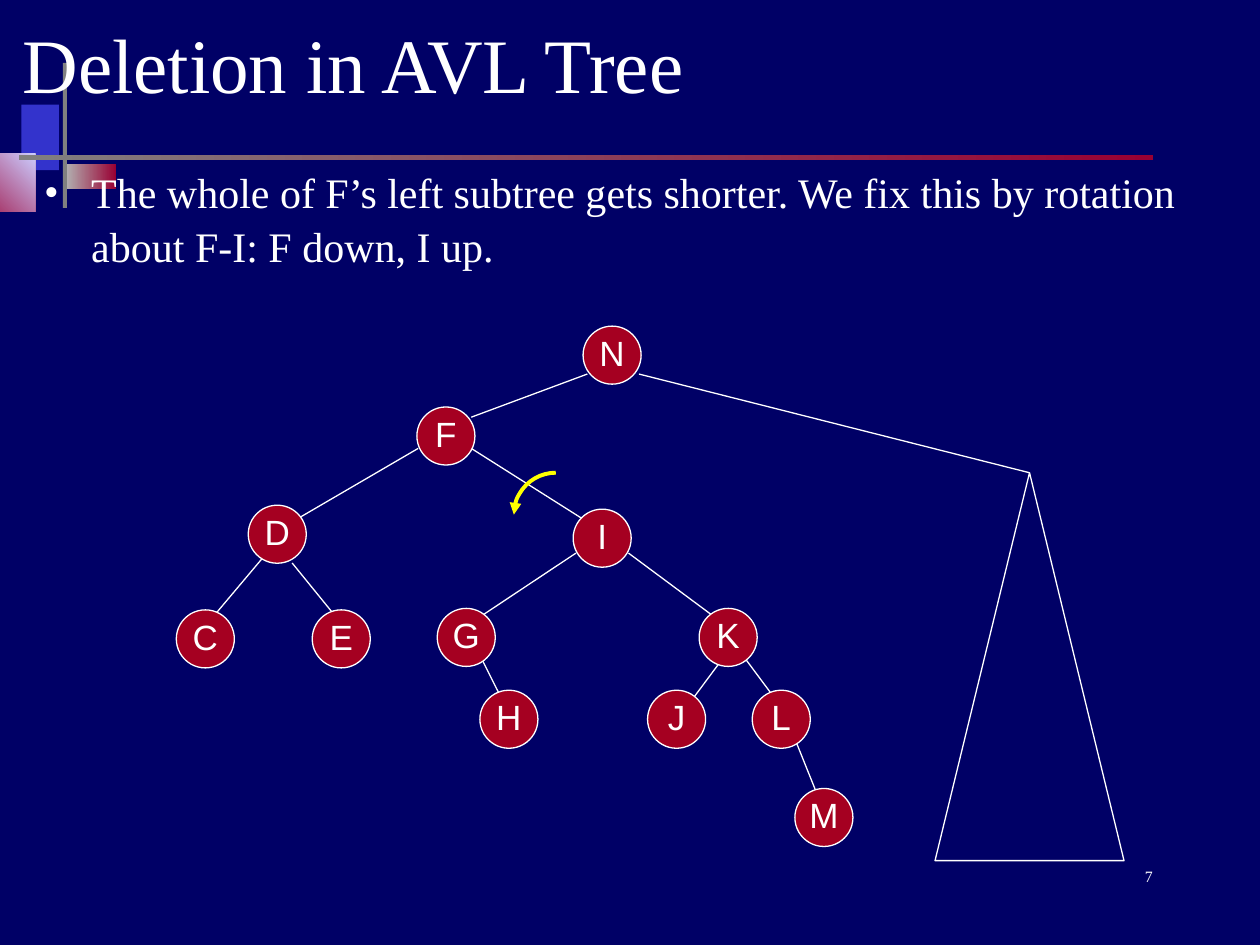
from dataclasses import dataclass

from lxml.etree import SubElement
from pptx import Presentation
from pptx.dml.color import RGBColor
from pptx.enum.shapes import MSO_CONNECTOR, MSO_SHAPE
from pptx.enum.text import MSO_ANCHOR, PP_ALIGN
from pptx.oxml.ns import qn
from pptx.util import Cm, Pt


@dataclass(frozen=True)
class Theme:
    background: str = "000066"
    text: str = "FFFFFF"
    node: str = "A50021"
    rotation: str = "FFFF00"
    blue: str = "3333CC"
    lavender: str = "CCCCFF"
    crimson: str = "990033"
    silver: str = "B2B2B2"
    gray: str = "808080"
    serif: str = "Times New Roman"
    sans: str = "Arial"
    title_size: float = 44
    body_size: float = 24
    node_size: float = 20
    number_size: float = 9
    thin: float = 0.75
    thick: float = 2.25


class SlideBuilder:
    def __init__(self, slide, theme):
        self.s = slide
        self.theme = theme
        fill = slide.background.fill
        fill.solid()
        fill.fore_color.rgb = RGBColor.from_string(theme.background)

    def set_text(self, tf, text, size, font, align=PP_ALIGN.LEFT, **frame):
        for name, value in {"word_wrap": True, **frame}.items():
            setattr(tf, name, value)
        p = tf.paragraphs[0]
        p.alignment = align
        r = p.add_run()
        r.text = text
        for name, value in {"size": Pt(size), "name": font}.items():
            setattr(r.font, name, value)
        r.font.color.rgb = RGBColor.from_string(self.theme.text)
        return p

    def stroke(self, line, color, width):
        line.color.rgb = RGBColor.from_string(color)
        line.width = Pt(width)

    def shape(self, kind, box, colors=(), angle=0, line=None, width=None):
        """Two colours make a gradient, one a solid fill, none no fill."""
        sp = self.s.shapes.add_shape(kind, *map(Cm, box))
        sp.shadow.inherit = False
        if len(colors) == 2:
            sp.fill.gradient()
            sp.fill.gradient_angle = angle
            for stop, color in zip(sp.fill.gradient_stops, colors):
                stop.color.rgb = RGBColor.from_string(color)
        elif colors:
            sp.fill.solid()
            sp.fill.fore_color.rgb = RGBColor.from_string(colors[0])
        else:
            sp.fill.background()
        if line:
            self.stroke(sp.line, line, width or self.theme.thin)
        else:
            sp.line.fill.background()
        return sp

    def title(self, text, box):
        sp = self.s.shapes.title
        for name, value in zip(("left", "top", "width", "height"), box):
            setattr(sp, name, Cm(value))
        self.set_text(sp.text_frame, text, self.theme.title_size,
                      self.theme.serif, vertical_anchor=MSO_ANCHOR.MIDDLE)
        # Bring the title in front of the decoration
        self.s.shapes.element.append(sp.element)

    def textbox(self, text, box, size, align=PP_ALIGN.LEFT):
        sp = self.s.shapes.add_textbox(*map(Cm, box))
        return self.set_text(sp.text_frame, text, size, self.theme.serif, align)

    def bullet(self, text, box, indent):
        p = self.textbox(text, box, self.theme.body_size)
        p.line_spacing = 1.06
        pPr = p._p.get_or_add_pPr()
        pPr.set("marL", str(Cm(indent)))
        pPr.set("indent", str(-Cm(indent)))
        SubElement(pPr, qn("a:buFont"), typeface=self.theme.serif)
        SubElement(pPr, qn("a:buChar"), char="•")

    def edge(self, start, end):
        line = self.s.shapes.add_connector(
            MSO_CONNECTOR.STRAIGHT, *map(Cm, (*start, *end)))
        self.stroke(line.line, self.theme.text, self.theme.thin)
        SubElement(line.element.spPr, qn("a:effectLst"))
        return line

    def node(self, label, x, y, size=1.17):
        sp = self.shape(MSO_SHAPE.OVAL, (x - size / 2, y - size / 2, size, size),
                        [self.theme.node], line=self.theme.text)
        self.set_text(sp.text_frame, label, self.theme.node_size,
                      self.theme.sans, PP_ALIGN.CENTER, word_wrap=False,
                      vertical_anchor=MSO_ANCHOR.MIDDLE, margin_left=0,
                      margin_right=0, margin_top=0, margin_bottom=Cm(0.1))

    def rotation_arrow(self, x, y, size):
        sp = self.shape(MSO_SHAPE.ARC, (x, y, size, size),
                        line=self.theme.rotation, width=self.theme.thick)
        # Quarter arc from 180 to 270 degrees, in 60000ths over 100000
        for i, degrees in enumerate((180, 270)):
            sp.adjustments[i] = degrees * 0.6
        ln = sp.element.spPr.find(qn("a:ln"))
        SubElement(ln, qn("a:headEnd"), type="triangle")


NODES = {
    "C": (4.14, 12.88), "D": (5.59, 10.77), "N": (12.34, 7.16),
    "E": (6.88, 12.88), "J": (13.64, 14.5), "G": (9.4, 12.85),
    "I": (12.14, 10.85), "F": (8.99, 8.79), "H": (10.26, 14.5),
    "K": (14.68, 12.85), "L": (15.75, 14.5), "M": (16.61, 16.48),
}

EDGES = [
    ((5.31, 11.23), (4.24, 12.5)),    # D-C
    ((5.89, 11.35), (6.76, 12.42)),   # D-E
    ((8.43, 9.04), (5.89, 10.52)),    # F-D
    ((9.5, 9.04), (11.84, 10.52)),    # F-I
    ((11.61, 11.15), (9.7, 12.42)),   # I-G
    ((9.7, 13.26), (10.13, 14.12)),   # G-H
    ((12.67, 11.15), (14.38, 12.42)), # I-K
    ((14.58, 13.26), (13.94, 14.12)), # K-J
    ((15.01, 13.26), (15.65, 14.12)), # K-L
    ((16.05, 14.96), (16.48, 16.03)), # L-M
    ((9.5, 8.41), (11.84, 7.54)),     # F-N
]


def main():
    prs = Presentation()
    prs.slide_width, prs.slide_height = Cm(25.4), Cm(19.05)
    t = Theme()
    b = SlideBuilder(prs.slides.add_slide(prs.slide_layouts[5]), t)

    # Corner decoration and title rule
    for box, colors, angle in [
        ((0.43, 2.11, 0.76, 1.32), [t.blue], 0),
        ((1.32, 3.3, 1.02, 0.51), [t.silver, t.crimson], 0),
        ((-0.84, 3.1, 1.55, 1.17), [t.crimson, t.lavender], 45),
        ((1.27, 1.27, 0.08, 2.92), [t.gray], 0),
        ((0.38, 3.12, 22.86, 0.1), [t.gray, t.crimson], 0),
    ]:
        b.shape(MSO_SHAPE.RECTANGLE, box, colors, angle)

    # Slide number, title and body text
    b.textbox("7", (18.21, 17.35, 5.28, 1.27), t.number_size, PP_ALIGN.RIGHT)
    b.title("Deletion in AVL Tree", (0.2, 0, 22.86, 2.54))
    b.bullet("The whole of F’s left subtree gets shorter. We fix this by "
             "rotation about F-I: F down, I up.",
             (0.64, 3.18, 24.13, 2.97), 0.95)

    # Tree edges below the nodes
    for start, end in EDGES:
        b.edge(start, end)
    for label, (x, y) in NODES.items():
        b.node(label, x, y)

    # Rotation about F-I
    b.rotation_arrow(10.36, 9.53, 1.69)

    # Right subtree of N
    subtree = b.shape(MSO_SHAPE.ISOSCELES_TRIANGLE, (18.85, 9.53, 3.81, 7.82),
                      line=t.text)
    b.edge((12.88, 7.54), (20.75, 9.53)).end_connect(subtree, 0)

    prs.save("out.pptx")


if __name__ == "__main__":
    main()
